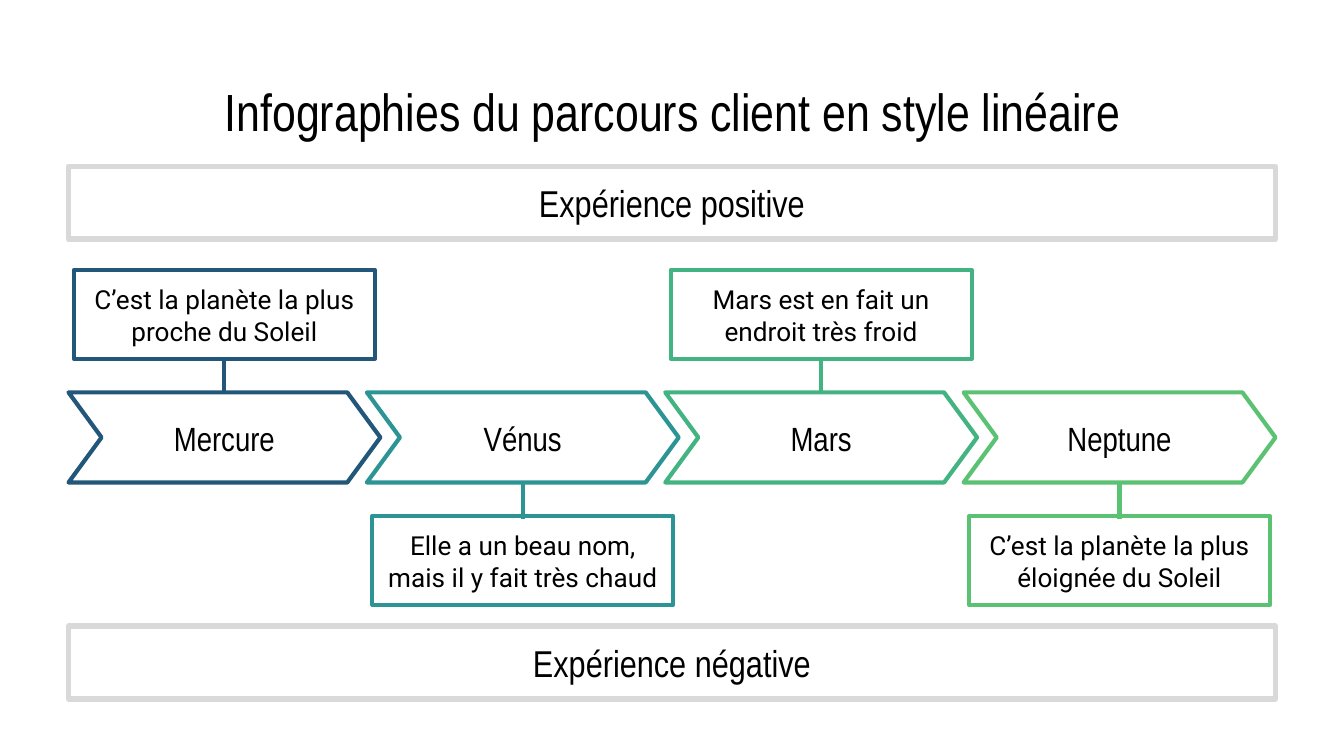
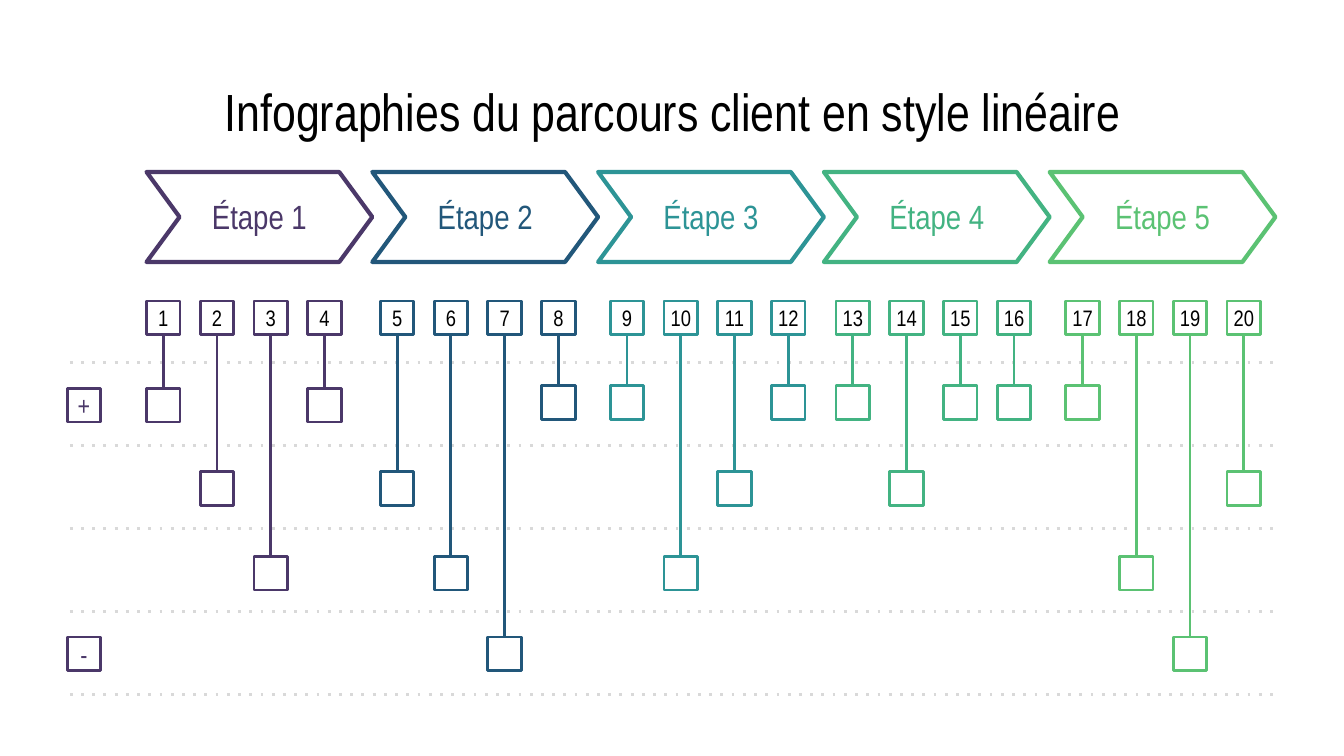
from dataclasses import dataclass

from lxml.etree import SubElement
from pptx import Presentation
from pptx.dml.color import RGBColor
from pptx.enum.dml import MSO_LINE
from pptx.enum.shapes import MSO_CONNECTOR, MSO_SHAPE
from pptx.enum.text import MSO_ANCHOR, MSO_AUTO_SIZE, PP_ALIGN
from pptx.oxml.ns import qn
from pptx.shapes.autoshape import Shape
from pptx.shapes.connector import Connector
from pptx.slide import Slide
from pptx.util import Emu, Pt

PX = 4572
BLACK = RGBColor(0x00, 0x00, 0x00)
GREY = RGBColor(0xD9, 0xD9, 0xD9)
PURPLE = RGBColor(0x4B, 0x38, 0x69)
NAVY = RGBColor(0x22, 0x57, 0x7A)
TEAL = RGBColor(0x2D, 0x94, 0x96)
GREEN = RGBColor(0x43, 0xB3, 0x82)
LIME = RGBColor(0x5B, 0xC2, 0x73)
HEAD_FONT = "Arial Narrow"
BODY_FONT = "Roboto"
TITLE = "Infographies du parcours client en style linéaire"

CHEVRON_H = 134
LABEL_H = 100
BOX = 50
NUMBER_TOP = 448
ROW_TOPS = (574, 702, 828, 948)


@dataclass(frozen=True)
class Rect:
    left: int
    top: int
    width: int
    height: int

    def emu(self) -> tuple[Emu, Emu, Emu, Emu]:
        return px(self.left), px(self.top), px(self.width), px(self.height)


@dataclass(frozen=True)
class Planet:
    name: str
    fact: str
    color: RGBColor
    positive: bool


@dataclass(frozen=True)
class Stage:
    color: RGBColor
    left: int
    rows: tuple[int, ...]
    first_row_top: int = ROW_TOPS[0]


PLANETS = (
    Planet("Mercure", "C’est la planète la plus proche du Soleil", NAVY, True),
    Planet("Vénus", "Elle a un beau nom, mais il y fait très chaud", TEAL, False),
    Planet("Mars", "Mars est en fait un endroit très froid", GREEN, True),
    Planet("Neptune", "C’est la planète la plus éloignée du Soleil", LIME, False),
)

STAGES = (
    Stage(PURPLE, 218, (0, 1, 2, 0), 578),
    Stage(NAVY, 566, (1, 2, 3, 0)),
    Stage(TEAL, 908, (0, 2, 1, 0)),
    Stage(GREEN, 1244, (0, 1, 0, 0)),
    Stage(LIME, 1586, (0, 2, 3, 1)),
)


def px(n: int) -> Emu:
    return Emu(n * PX)


def write(sp: Shape, text: str, size: int, color: RGBColor = BLACK,
          font: str = HEAD_FONT, inset: int = 20,
          anchor: MSO_ANCHOR = MSO_ANCHOR.TOP) -> None:
    tf = sp.text_frame
    tf.word_wrap = True
    tf.auto_size = MSO_AUTO_SIZE.NONE
    tf.vertical_anchor = anchor
    tf.margin_left = tf.margin_right = tf.margin_top = tf.margin_bottom = px(inset)
    p = tf.paragraphs[0]
    p.text = text
    p.alignment = PP_ALIGN.CENTER
    p.font.name = font
    p.font.size = Pt(size)
    p.font.color.rgb = color


def add_outline(s: Slide, rect: Rect, color: RGBColor, weight: float,
                kind: MSO_SHAPE = MSO_SHAPE.RECTANGLE) -> Shape:
    sp = s.shapes.add_shape(kind, *rect.emu())
    sp.shadow.inherit = False
    sp.fill.background()
    sp.line.color.rgb = color
    sp.line.width = Pt(weight)
    return sp


def add_box(s: Slide, left: int, top: int, color: RGBColor) -> Shape:
    return add_outline(s, Rect(left, top, BOX, BOX), color, 1.5)


def add_chevron(s: Slide, left: int, top: int, width: int, color: RGBColor) -> None:
    rect = Rect(left, top, width, CHEVRON_H)
    sp = add_outline(s, rect, color, 2.25, MSO_SHAPE.CHEVRON)
    sp.adjustments[0] = 0.367


def add_label(s: Slide, rect: Rect, text: str, color: RGBColor = BLACK) -> None:
    write(s.shapes.add_textbox(*rect.emu()), text, 18, color)


def add_line(shapes, start: tuple[int, int], end: tuple[int, int],
             color: RGBColor, weight: float, dotted: bool = False) -> Connector:
    cxn = shapes.add_connector(MSO_CONNECTOR.STRAIGHT, *map(px, start + end))
    cxn.line.color.rgb = color
    cxn.line.width = Pt(weight)
    sp_pr = cxn.element.find(qn("p:spPr"))
    if dotted:
        cxn.line.dash_style = MSO_LINE.ROUND_DOT
        sp_pr.find(qn("a:ln")).find(qn("a:prstDash")).set("val", "dot")
    SubElement(sp_pr, qn("a:effectLst"))
    return cxn


def add_titled_slide(prs) -> Slide:
    s = prs.slides.add_slide(prs.slide_layouts[5])
    title = s.shapes.title
    title.left, title.top, title.width, title.height = Rect(100, 98, 1800, 126).emu()
    write(title, TITLE, 28)
    return s


def build_planets(prs) -> None:
    s = add_titled_slide(prs)
    pitch = 444
    for top, text in ((248, "Expérience positive"), (932, "Expérience négative")):
        write(add_outline(s, Rect(102, top, 1796, 108), GREY, 3), text, 20)
    for i, planet in enumerate(PLANETS):
        shift = i * pitch
        add_chevron(s, 102 + shift, 584, 464, planet.color)
        add_label(s, Rect(208 + shift, 602, 252, LABEL_H), planet.name)
        fact_top, stem_top = (402, 532) if planet.positive else (768, 718)
        fact = add_outline(s, Rect(110 + shift, fact_top, 448, 132), planet.color, 2.25)
        write(fact, planet.fact, 14, font=BODY_FONT)
        x = 334 + shift
        add_line(s.shapes, (x, stem_top), (x, stem_top + 54), planet.color, 2.25)


def build_stages(prs) -> None:
    s = add_titled_slide(prs)
    grid = s.shapes.add_group_shape()
    for i in range(5):
        y = 540 + i * 494 // 4
        add_line(grid.shapes, (104, y), (1898, y), GREY, 1.5, dotted=True)
    for sign, top in (("+", 578), ("-", 948)):
        write(add_box(s, 100, top, PURPLE), sign, 14, PURPLE,
              inset=0, anchor=MSO_ANCHOR.MIDDLE)
    number = 0
    for i, stage in enumerate(STAGES):
        left = 218 + i * 336
        add_chevron(s, left, 256, 336, stage.color)
        add_label(s, Rect(left + 26, 272, 284, LABEL_H), f"Étape {i + 1}", stage.color)
        tops = (stage.first_row_top, *ROW_TOPS[1:])
        for j, row in enumerate(stage.rows):
            number += 1
            x = stage.left + j * 80
            write(add_box(s, x, NUMBER_TOP, stage.color), str(number), 12,
                  inset=0, anchor=MSO_ANCHOR.MIDDLE)
            add_box(s, x, tops[row], stage.color)
            mid = x + BOX // 2
            add_line(s.shapes, (mid, NUMBER_TOP + BOX), (mid, tops[row]),
                     stage.color, 1.5)


def main() -> None:
    prs = Presentation()
    prs.slide_width, prs.slide_height = px(2000), px(1125)
    build_planets(prs)
    build_stages(prs)
    prs.save("out.pptx")


if __name__ == "__main__":
    main()
